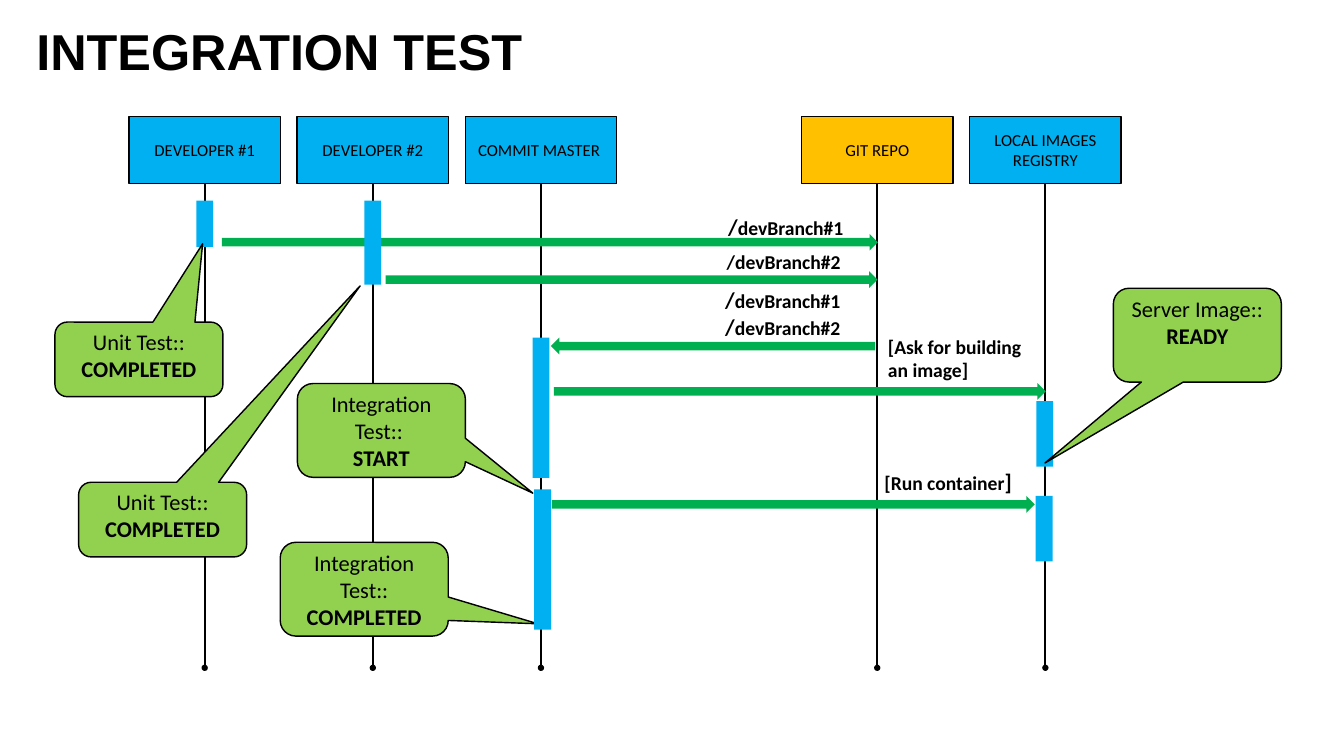
from dataclasses import dataclass

from lxml import etree
from pptx import Presentation
from pptx.dml.color import RGBColor
from pptx.enum.shapes import MSO_CONNECTOR, MSO_SHAPE
from pptx.enum.text import MSO_ANCHOR, PP_ALIGN
from pptx.oxml.ns import qn
from pptx.util import Pt

RECTANGLE = MSO_SHAPE.RECTANGLE
RIGHT_ARROW = MSO_SHAPE.RIGHT_ARROW
LEFT_ARROW = MSO_SHAPE.LEFT_ARROW
CALLOUT = MSO_SHAPE.ROUNDED_RECTANGULAR_CALLOUT
STRAIGHT = MSO_CONNECTOR.STRAIGHT
LEFT, CENTER = PP_ALIGN.LEFT, PP_ALIGN.CENTER
TOP, MIDDLE = MSO_ANCHOR.TOP, MSO_ANCHOR.MIDDLE

BLACK, BLUE, AMBER = "000000", "00B0F0", "FFC000"
GREEN, LIME = "00B050", "92D050"

FIRST_LIFELINE, LIFELINE_GAP, LIFELINE_END = 292.4, 240.2, 954
HEAD_TOP, HEAD_WIDTH, HEAD_HEIGHT = 166.4, 216, 96
BAR_WIDTH = ARROW_HEIGHT = 24
CALLOUT_WIDTH = 240


@dataclass(frozen=True)
class Run:
    text: str
    size: float = 28
    bold: bool = True


@dataclass(frozen=True)
class Participant:
    name: str
    slot: int
    color: str = BLUE


@dataclass(frozen=True)
class Bar:
    slot: int
    top: float
    height: float
    shift: float = 0


@dataclass(frozen=True)
class Message:
    left: float
    top: float
    width: float
    label_box: tuple[float, float, float, float]
    label: tuple[tuple[Run, ...], ...]
    direction: MSO_SHAPE = RIGHT_ARROW


@dataclass(frozen=True)
class Status:
    left: float
    top: float
    height: float
    tip: tuple[float, float]
    lines: tuple[tuple[Run, ...], ...]


def status_run(text):
    return Run(text, 32, False)


SLASH = Run("/", 32)
COMPLETED = Run("COMPLETED", 32)
UNIT_TEST = ((status_run("Unit Test:: "), COMPLETED),)
BRANCH_1, BRANCH_2 = Run("devBranch#1"), Run("devBranch#2")

PARTICIPANTS = (
    Participant("DEVELOPER #1", 0),
    Participant("DEVELOPER #2", 1),
    Participant("COMMIT MASTER ", 2),
    Participant("GIT REPO", 4, AMBER),
    Participant("LOCAL IMAGES\nREGISTRY", 5),
)
MESSAGES = (
    Message(550.8, 387.4, 702.7, (1031, 353.5, 200, 41), ((Run("/devBranch#2"),),)),
    Message(787, 482.4, 463, (1028.9, 405.4, 201.6, 85),
            ((SLASH, BRANCH_1), (SLASH, BRANCH_2)), LEFT_ARROW),
    Message(316.8, 334, 937.4, (1033.2, 300.2, 201.6, 46), ((SLASH, BRANCH_1),)),
    Message(791.3, 547.2, 702.7, (1261.4, 474.5, 247, 75),
            ((Run("[Ask for building"),), (Run("an image]"),))),
    Message(788.4, 708.5, 689.8, (1256.4, 665.3, 225.4, 46),
            ((Run("[Run container"), Run("]", 32)),)),
)
PREPARATION_BARS = (
    Bar(0, 286.6, 66.2),
    Bar(1, 286.6, 120.2),
    Bar(2, 482.4, 200.2),
    Bar(5, 573.1, 93.6, -1),
)
INTEGRATION_BARS = (Bar(2, 699.1, 200.2, 2.4), Bar(5, 708.5, 93.6, -1.8))
STATUSES = (
    Status(400.3, 774.7, 134, (1.034, 0.369),
           ((status_run("Integration Test:: "), COMPLETED),)),
    Status(78.5, 460.1, 106.6, (0.379, -1.549), UNIT_TEST),
    Status(112.3, 689, 106.6, (1.176, -3.133), UNIT_TEST),
    Status(1590.5, 411.8, 134, (-0.907, 1.363),
           ((status_run("Server Image:: "), Run("READY", 32)),)),
    Status(424.8, 547.9, 134, (0.902, 0.669),
           ((status_run("Integration Test:: "),), (Run("START", 32),))),
)


def rgb(color: str) -> RGBColor:
    return RGBColor.from_string(color)


def lifeline_x(slot: int) -> float:
    return FIRST_LIFELINE + slot * LIFELINE_GAP


def write_text(frame, lines, *, font="Calibri", color=BLACK, align=LEFT,
               anchor=TOP, wrap=True):
    frame.word_wrap = wrap
    frame.vertical_anchor = anchor
    for index, line in enumerate(lines):
        paragraph = frame.add_paragraph() if index else frame.paragraphs[0]
        paragraph.alignment = align
        for part in line:
            run = paragraph.add_run()
            run.text = part.text
            run.font.name = font
            run.font.size = Pt(part.size)
            run.font.bold = part.bold
            run.font.color.rgb = rgb(color)


def draw_shape(slide, preset, left: float, top: float, width: float, height: float,
               fill: str, outlined: bool = False):
    shape = slide.shapes.add_shape(preset, Pt(left), Pt(top), Pt(width), Pt(height))
    shape.shadow.inherit = False
    shape.fill.solid()
    shape.fill.fore_color.rgb = rgb(fill)
    if outlined:
        shape.line.color.rgb = rgb(BLACK)
        shape.line.width = Pt(2)
    else:
        shape.line.fill.background()
    return shape


def draw_participant(slide, participant: Participant) -> None:
    x = lifeline_x(participant.slot)
    head = draw_shape(slide, RECTANGLE, x - HEAD_WIDTH / 2, HEAD_TOP,
                      HEAD_WIDTH, HEAD_HEIGHT, participant.color, True)
    lines = [(Run(text, 24, False),) for text in participant.name.split("\n")]
    write_text(head.text_frame, lines, align=CENTER, anchor=MIDDLE)
    lifeline = slide.shapes.add_connector(
        STRAIGHT, Pt(x), Pt(HEAD_TOP + HEAD_HEIGHT), Pt(x), Pt(LIFELINE_END))
    lifeline.begin_connect(head, 2)
    lifeline.line.color.rgb = rgb(BLACK)
    lifeline.line.width = Pt(3)
    etree.SubElement(lifeline.line._get_or_add_ln(), qn("a:tailEnd"), type="oval")
    etree.SubElement(lifeline._element.spPr, qn("a:effectLst"))


def draw_message(slide, message: Message) -> None:
    draw_shape(slide, message.direction, message.left, message.top,
               message.width, ARROW_HEIGHT, GREEN)
    label = slide.shapes.add_textbox(*map(Pt, message.label_box))
    write_text(label.text_frame, message.label, wrap=False)


def draw_bar(slide, bar: Bar) -> None:
    left = lifeline_x(bar.slot) + bar.shift - BAR_WIDTH / 2
    draw_shape(slide, RECTANGLE, left, bar.top, BAR_WIDTH, bar.height, BLUE)


def draw_status(slide, status: Status) -> None:
    bubble = draw_shape(slide, CALLOUT, status.left, status.top,
                        CALLOUT_WIDTH, status.height, LIME, True)
    bubble.adjustments[0], bubble.adjustments[1] = status.tip
    write_text(bubble.text_frame, status.lines, align=CENTER)


def draw_title(slide) -> None:
    title = slide.shapes.add_textbox(Pt(49), Pt(18.7), Pt(1821.6), Pt(107.3))
    frame = title.text_frame
    frame.margin_left = frame.margin_right = Pt(3)
    frame.margin_top = frame.margin_bottom = Pt(3)
    write_text(frame, ((Run("INTEGRATION TEST", 72),),), font="Arial", anchor=MIDDLE)


def main() -> None:
    deck = Presentation()
    deck.slide_width, deck.slide_height = Pt(1920), Pt(1080)
    slide = deck.slides.add_slide(deck.slide_layouts[6])
    for draw, parts in (
        (draw_participant, PARTICIPANTS),
        (draw_message, MESSAGES),
        (draw_bar, PREPARATION_BARS),
        (draw_status, STATUSES),
        (draw_bar, INTEGRATION_BARS),
    ):
        for part in parts:
            draw(slide, part)
    draw_title(slide)
    deck.save("out.pptx")


if __name__ == "__main__":
    main()
